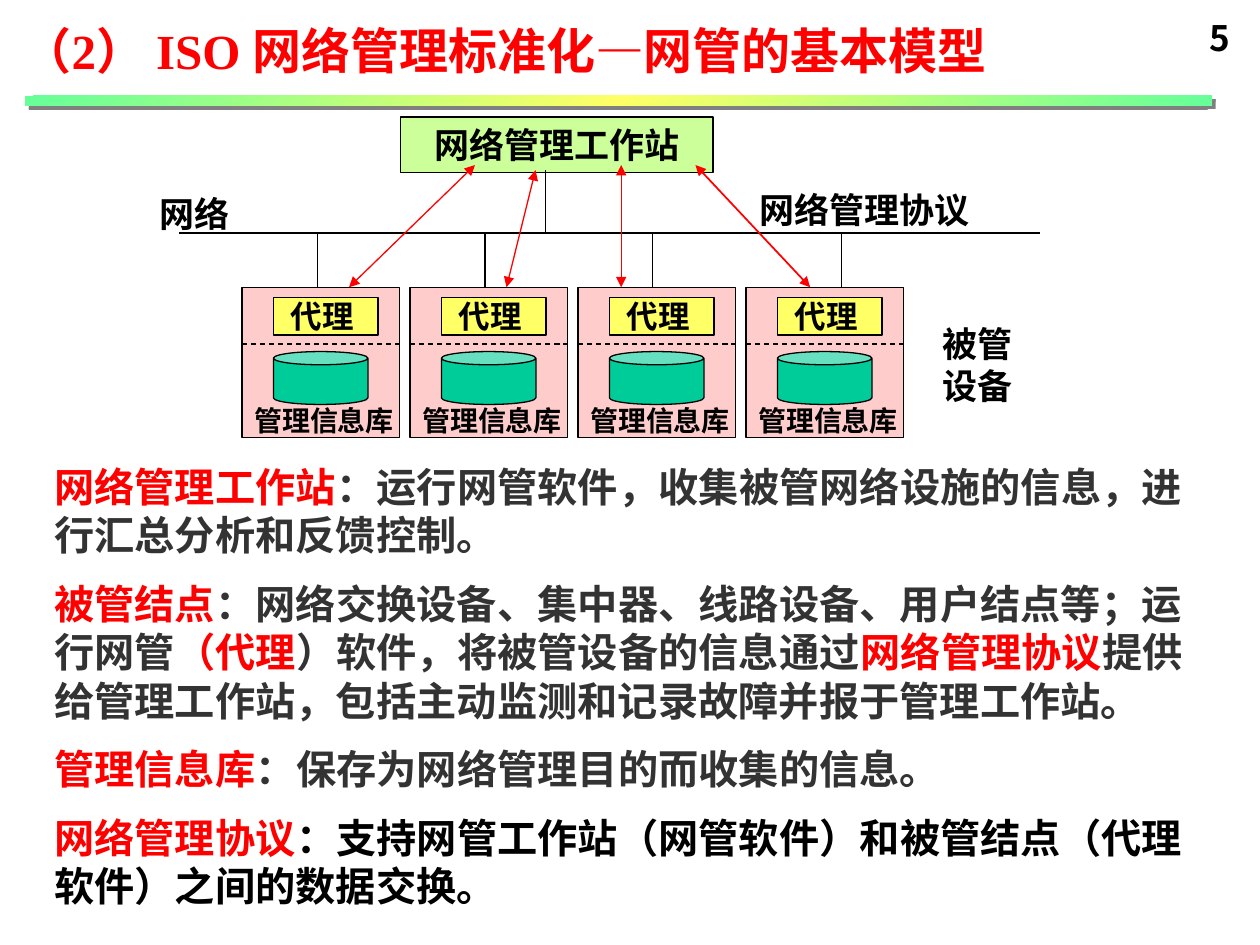
from lxml.etree import SubElement
from pptx import Presentation
from pptx.dml.color import RGBColor
from pptx.enum.dml import MSO_LINE
from pptx.enum.shapes import MSO_CONNECTOR, MSO_SHAPE
from pptx.enum.text import MSO_ANCHOR, MSO_AUTO_SIZE, PP_ALIGN
from pptx.oxml import parse_xml
from pptx.oxml.ns import nsdecls, qn
from pptx.util import Inches, Pt

COLORS = {
    "black": "000000", "gray": "333333", "red": "FF0000", "shade": "808080",
    "station": "CCFF99", "device": "FFCCCC", "agent": "FFFF66",
    "database": "00CC99", "mint": "66FF99",
}
BODY = [
    [("网络管理工作站", "red"),
     ("：运行网管软件，收集被管网络设施的信息，进行汇总分析和反馈控制。", "gray")],
    [("被管结点", "red"),
     ("：网络交换设备、集中器、线路设备、用户结点等；运行网管", "gray"),
     ("（代理", "red"), ("）软件，将被管设备的信息通过", "gray"),
     ("网络管理协议", "red"),
     ("提供给管理工作站，包括主动监测和记录故障并报于管理工作站。", "gray")],
    [("管理信息库", "red"), ("：保存为网络管理目的而收集的信息。", "gray")],
    [("网络管理协议", "red"),
     ("：支持网管工作站（网管软件）和被管结点（代理软件）之间的数据交换。", "black")],
]
PROTOCOL_LINKS = [
    ((2.77, 2.28), (3.77, 1.31), 0.75),
    ((4.25, 1.35), (4.02, 2.28), 0.75),
    ((4.93, 1.31), (4.93, 2.28), 0.75),
    ((5.52, 1.31), (6.43, 2.28), 1),
]


def color(name):
    return RGBColor.from_string(COLORS[name])


class SlideBuilder:
    """Holds the text style and the slide being filled."""

    font = "Times New Roman"

    def __init__(self, page):
        self.page = page

    def fill_text(self, box, paragraphs, size, font=None, wrap=True,
                  align=PP_ALIGN.LEFT, anchor=MSO_ANCHOR.TOP, gap=0):
        """Fill a shape with paragraphs, each a list of (text, colour) spans."""
        frame = box.text_frame
        frame_format = {"word_wrap": wrap, "auto_size": MSO_AUTO_SIZE.NONE,
                        "vertical_anchor": anchor}
        for name, value in frame_format.items():
            setattr(frame, name, value)
        for index, spans in enumerate(paragraphs):
            para = frame.add_paragraph() if index else frame.paragraphs[0]
            para_format = {"alignment": align, "space_before": Pt(0),
                           "space_after": Pt(gap)}
            for name, value in para_format.items():
                setattr(para, name, value)
            for text, tone in spans:
                span = para.add_run()
                span.text = text
                span_format = {"size": Pt(size), "bold": True,
                               "name": font or self.font}
                for name, value in span_format.items():
                    setattr(span.font, name, value)
                span.font.color.rgb = color(tone)

    def placeholder(self, index, place, paragraphs, size, gap=0):
        box = self.page.placeholders[index]
        for name, value in zip(("left", "top", "width", "height"), place):
            setattr(box, name, Inches(value))
        self.fill_text(box, paragraphs, size, gap=gap)
        for para in box.text_frame.paragraphs:
            properties = para._p.get_or_add_pPr()
            properties.set("marL", "0")
            properties.set("indent", "0")
            SubElement(properties, qn("a:buNone"))

    def label(self, place, lines, size=20, wrap=False, font=None):
        box = self.page.shapes.add_textbox(*map(Inches, place))
        self.fill_text(box, [[(line, "black")] for line in lines], size, font, wrap)

    def shape(self, kind, place, fill, text=None, size=20, **layout):
        box = self.page.shapes.add_shape(kind, *map(Inches, place))
        box.shadow.inherit = False
        box.fill.solid()
        box.fill.fore_color.rgb = color(fill)
        box.line.color.rgb = color("black")
        box.line.width = Pt(0.75)
        if text:
            self.fill_text(box, [[(text, "black")]], size,
                           align=PP_ALIGN.CENTER, **layout)

    def line(self, start, end, tone="black", width=0.75, dashed=False, arrows=False):
        line = self.page.shapes.add_connector(
            MSO_CONNECTOR.STRAIGHT, *map(Inches, (*start, *end)))
        line.line.color.rgb = color(tone)
        line.line.width = Pt(width)
        if dashed:
            line.line.dash_style = MSO_LINE.DASH
        if arrows:
            for end_name in ("a:headEnd", "a:tailEnd"):
                SubElement(line.line._get_or_add_ln(), qn(end_name), type="triangle")
        SubElement(line._element.spPr, qn("a:effectLst"))

    def gradient_bar(self, place):
        bar = self.page.shapes.add_shape(MSO_SHAPE.RECTANGLE, *map(Inches, place))
        bar.line.fill.background()
        stops = "".join(
            f'<a:gs pos="{position}"><a:srgbClr val="{COLORS[tone]}"/></a:gs>'
            for position, tone in ((0, "mint"), (50000, "agent"), (100000, "mint")))
        properties = bar._element.spPr
        properties.find(qn("a:prstGeom")).addnext(parse_xml(
            f'<a:gradFill {nsdecls("a")} rotWithShape="1"><a:gsLst>{stops}</a:gsLst>'
            '<a:lin ang="2700000" scaled="1"/></a:gradFill>'))
        properties.append(parse_xml(
            f'<a:effectLst {nsdecls("a")}><a:outerShdw dist="{Pt(2.8)}" dir="2700000">'
            f'<a:srgbClr val="{COLORS["shade"]}"/></a:outerShdw></a:effectLst>'))

    def device(self, left):
        """Draw a managed device with its agent and information base."""
        self.shape(MSO_SHAPE.RECTANGLE, (left, 2.28, 1.25, 1.19), "device")
        self.shape(MSO_SHAPE.RECTANGLE, (left + 0.25, 2.36, 0.83, 0.3), "agent",
                   "代理 ", 18, wrap=False, anchor=MSO_ANCHOR.MIDDLE)
        self.label((left, 3.15, 1.33, 0.37), ["管理信息库"], 16, wrap=True)
        self.line((left, 2.73), (left + 1.25, 2.73), dashed=True)
        self.shape(MSO_SHAPE.CAN, (left + 0.25, 2.79, 0.75, 0.42), "database")


def main():
    deck = Presentation()
    deck.slide_width, deck.slide_height = Inches(10), Inches(7.5)
    builder = SlideBuilder(deck.slides.add_slide(deck.slide_layouts[1]))

    builder.placeholder(0, (0.08, 0.11, 8.54, 0.57),
                        [[("（2） ISO 网络管理标准化—网管的基本模型", "red")]], 28)
    builder.placeholder(1, (0.33, 3.62, 9.42, 3.67), BODY, 23, gap=11.6)
    builder.gradient_bar((0.2, 0.76, 9.42, 0.08))
    builder.label((9.5, 0.08, 0.34, 0.44), ["5"], font="Noto Sans CJK SC")

    builder.shape(MSO_SHAPE.RECTANGLE, (3.18, 0.93, 2.48, 0.44), "station",
                  "网络管理工作站")
    builder.line((1.42, 1.85), (8.25, 1.85))
    builder.line((4.33, 1.35), (4.33, 1.85))
    for x in (2.52, 3.85, 5.18, 6.68):
        builder.line((x, 1.84), (x, 2.28))
    for start, end, width in PROTOCOL_LINKS:
        builder.line(start, end, "red", width, arrows=True)
    for index in range(4):
        builder.device(1.92 + index * 4 / 3)

    builder.label((1.17, 1.48, 0.83, 0.43), ["网络"])
    builder.label((5.93, 1.45, 1.95, 0.43), ["网络管理协议"])
    builder.label((7.38, 2.51, 0.83, 0.77), ["被管", "设备"])
    deck.save("out.pptx")


if __name__ == "__main__":
    main()
